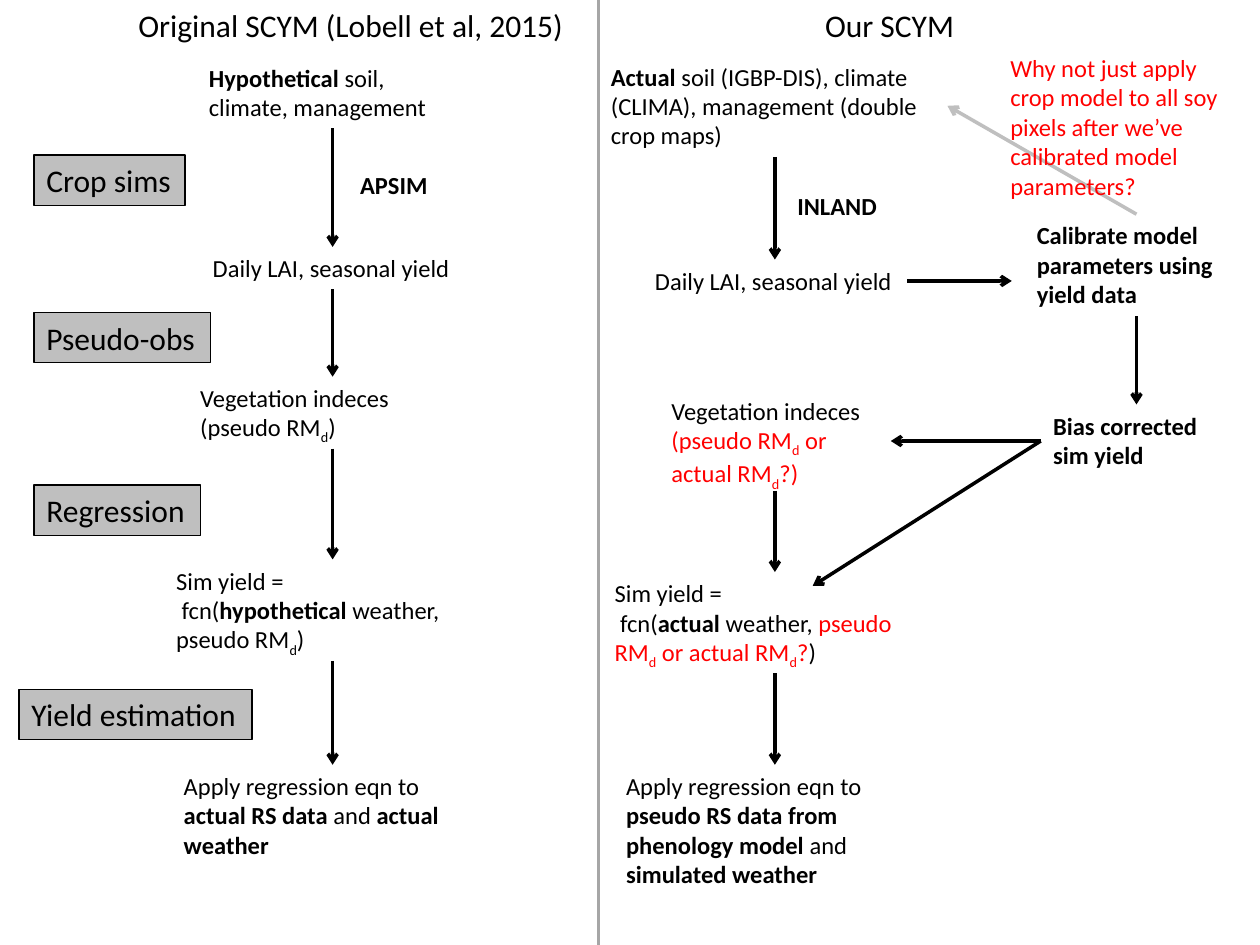
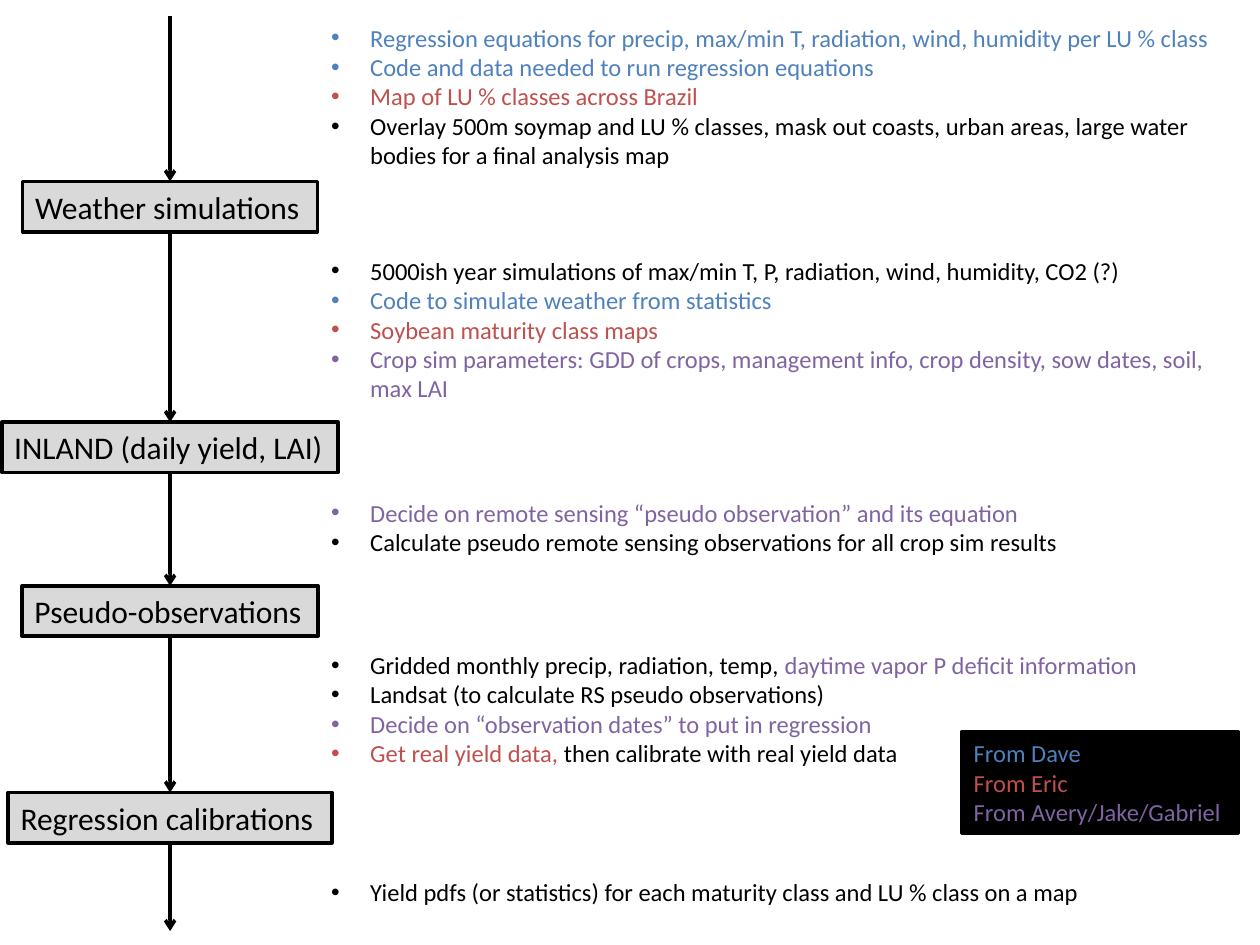
"""Build two slides comparing crop yield workflows and listing the inputs each step needs."""
from lxml import etree
from pptx import Presentation
from pptx.dml.color import RGBColor
from pptx.enum.shapes import MSO_CONNECTOR, MSO_SHAPE
from pptx.enum.text import MSO_ANCHOR, MSO_AUTO_SIZE, PP_ALIGN
from pptx.oxml.ns import qn
from pptx.util import Inches, Pt

RECTANGLE = MSO_SHAPE.RECTANGLE
STRAIGHT = MSO_CONNECTOR.STRAIGHT
LEFT = PP_ALIGN.LEFT
TOP = MSO_ANCHOR.TOP
GROW = MSO_AUTO_SIZE.SHAPE_TO_FIT_TEXT

COLORS = {
    "black": "000000", "red": "FF0000", "silver": "BFBFBF", "pale": "D9D9D9",
    "divider": "A6A6A6", "dave": "4F81BD", "eric": "C0504D", "team": "8064A2",
}
FONT_NAME = "Calibri"
BODY_SIZE, HEADING_SIZE = 14, 18
LABEL_HEIGHT = 0.4
LINE_WEIGHT = 2
BULLET_INDENT = 0.31

TITLES = [(1, 3.69, "Original SCYM (Lobell et al, 2015)"), (6.45, 1.24, "Our SCYM")]
STAGES = [
    (0.27, 1.23, 1.2, "Crop sims"),
    (0.27, 2.48, 1.4, "Pseudo-obs"),
    (0.27, 3.85, 1.32, "Regression"),
    (0.15, 5.47, 1.85, "Yield estimation"),
]
DAILY = [["Daily LAI, seasonal yield"]]
SUBSCRIPT = ("d", "sub")
RED_SUBSCRIPT = ("d", "red sub")

# Flow steps: left, top, width, number of lines, wraps, arrow to next step, paragraphs
FLOWS = [
    (2.64, [
        (1.56, 0.45, 2.16, 2, True, True,
         [[("Hypothetical", "bold"), " soil, climate, management"]]),
        (1.59, 1.96, 2.1, 1, False, True, DAILY),
        (1.49, 2.99, 2.29, 2, True, True,
         [["Vegetation indeces (pseudo RM", SUBSCRIPT, ")"]]),
        (1.3, 4.44, 2.68, 3, True, True,
         [["Sim yield ="],
          [" fcn(", ("hypothetical", "bold"), " weather, pseudo RM", SUBSCRIPT, ")"]]),
        (1.36, 6.07, 2.55, 3, True, False,
         [["Apply regression eqn to ", ("actual RS data ", "bold"), "and ",
           ("actual weather", "bold")]]),
    ]),
    (6.15, [
        (4.75, 0.44, 2.77, 3, True, True,
         [[("Actual", "bold"),
           " soil (IGBP-DIS), climate (CLIMA), management (double crop maps)"]]),
        (5.1, 2.06, 2.1, 1, False, False, DAILY),
        (5.23, 3.09, 1.85, 3, True, True,
         [["Vegetation indeces ", ("(pseudo RM", "red"), RED_SUBSCRIPT,
           (" or actual RM", "red"), RED_SUBSCRIPT, ("?)", "red")]]),
        (4.78, 4.54, 2.74, 3, True, True,
         [["Sim yield ="],
          [" fcn(", ("actual", "bold"), " weather, ", ("pseudo RM", "red"), RED_SUBSCRIPT,
           (" or actual RM", "red"), RED_SUBSCRIPT, ("?", "red"), ")"]]),
        (4.87, 6.07, 2.55, 4, True, False,
         [["Apply regression eqn to ", ("pseudo RS data from phenology model ", "bold"),
           "and ", ("simulated weather", "bold")]]),
    ]),
]
SIDE_NOTES = [
    (2.76, 1.3, 0.76, 1, False, [[("APSIM", "bold")]]),
    (6.23, 1.47, 0.84, 1, False, [[("INLAND", "bold")]]),
    (8.13, 1.7, 1.79, 3, True, [[("Calibrate model parameters using yield data", "bold")]]),
    (8.26, 3.21, 1.53, 2, True, [[("Bias corrected sim yield", "bold")]]),
    (7.92, 0.37, 1.97, 5, True,
     [[("Why not just apply crop model to all soy pixels after we’ve "
        "calibrated model parameters?", "red")]]),
]
SIDE_ARROWS = [
    ((7.2, 2.23), (8.03, 2.23), "black"),
    ((9.02, 2.51), (9.02, 3.21), "black"),
    ((8.26, 3.5), (7.07, 3.5), "black"),
    ((8.26, 3.5), (6.45, 4.65), "black"),
    ((9.02, 1.7), (7.52, 0.84), "silver"),
]
DIVIDER_X = 4.75

PIPELINE_X, PIPELINE_START, PIPELINE_END = 1.35, 0.13, 7.39
PIPELINE = [
    (1.44, 2.34, "Weather simulations"),
    (3.35, 2.67, "INLAND (daily yield, LAI)"),
    (4.65, 2.35, "Pseudo-observations"),
    (6.29, 2.57, "Regression calibrations"),
]
TASKS_LEFT = 2.53
TASKS = [
    (0.13, 7.31, 5, True, [
        [("Regression equations for precip, max/min T, radiation, wind, humidity "
          "per LU % class", "dave")],
        [("Code and data needed to run regression equations", "dave")],
        [("Map of LU % classes across Brazil", "eric")],
        ["Overlay 500m soymap and LU % classes, mask out coasts, urban areas, "
         "large water bodies for a final analysis map"],
    ]),
    (1.98, 7.23, 5, True, [
        ["5000ish year simulations of max/min T, P, radiation, wind, humidity, CO2 (?)"],
        [("Code to simulate weather from statistics", "dave")],
        [("Soybean maturity class maps", "eric")],
        [("Crop sim parameters: GDD of crops, management info, crop density, "
          "sow dates, soil, max LAI", "team")],
    ]),
    (3.9, 6.02, 2, False, [
        [("Decide on remote sensing “pseudo observation” and its equation", "team")],
        ["Calculate pseudo remote sensing observations for all crop sim results"],
    ]),
    (5.11, 6.61, 4, False, [
        ["Gridded monthly precip, radiation, temp, ",
         ("daytime vapor P deficit information", "team")],
        ["Landsat (to calculate RS pseudo observations)"],
        [("Decide on “observation dates” to put in regression", "team")],
        [("Get real yield data, ", "eric"), "then calibrate with real yield data"],
    ]),
    (6.91, 6.2, 1, False, [
        ["Yield pdfs (or statistics) for each maturity class and LU % class on a map"],
    ]),
]
LEGEND = [[("From Dave", "dave")], [("From Eric", "eric")],
          [("From Avery/Jake/Gabriel", "team")]]


def rgb(name):
    return RGBColor.from_string(COLORS[name])


def text_height(lines):
    return 0.1 + 0.235 * lines


def add_bullet(paragraph):
    properties = paragraph._p.get_or_add_pPr()
    properties.set("marL", str(Inches(BULLET_INDENT)))
    properties.set("indent", str(-Inches(BULLET_INDENT)))
    etree.SubElement(properties, qn("a:buFont")).set("typeface", "Arial")
    etree.SubElement(properties, qn("a:buChar")).set("char", "•")


def write_run(paragraph, content, size):
    text, style = (content, "") if isinstance(content, str) else content
    words = style.split()
    run = paragraph.add_run()
    run.text = text
    formats = {"name": FONT_NAME, "size": Pt(size), "bold": "bold" in words}
    for attribute, value in formats.items():
        setattr(run.font, attribute, value)
    color = next((word for word in words if word in COLORS), "black")
    run.font.color.rgb = rgb(color)
    if "sub" in words:
        run._r.get_or_add_rPr().set("baseline", "-25000")


def write_text(shape, paragraphs, size, wrap, bullets=False):
    frame = shape.text_frame
    formats = {"word_wrap": wrap, "auto_size": GROW, "vertical_anchor": TOP}
    for attribute, value in formats.items():
        setattr(frame, attribute, value)
    for index, runs in enumerate(paragraphs):
        paragraph = frame.add_paragraph() if index else frame.paragraphs[0]
        paragraph.alignment = LEFT
        if bullets:
            add_bullet(paragraph)
        for content in runs:
            write_run(paragraph, content, size)


def add_text(slide, left, top, width, height, paragraphs, size=BODY_SIZE, wrap=False,
             bullets=False):
    shape = slide.shapes.add_textbox(*map(Inches, (left, top, width, height)))
    write_text(shape, paragraphs, size, wrap, bullets)


def add_box(slide, left, top, width, height, paragraphs, fill, weight, size=HEADING_SIZE):
    shape = slide.shapes.add_shape(RECTANGLE, *map(Inches, (left, top, width, height)))
    shape.shadow.inherit = False
    shape.fill.solid()
    shape.fill.fore_color.rgb = rgb(fill)
    shape.line.color.rgb = rgb("black")
    shape.line.width = Pt(weight)
    write_text(shape, paragraphs, size, False)


def add_line(slide, start, end, color="black", arrow=True):
    connector = slide.shapes.add_connector(STRAIGHT, *map(Inches, (*start, *end)))
    connector.line.color.rgb = rgb(color)
    connector.line.width = Pt(LINE_WEIGHT)
    if arrow:
        line = connector.line._get_or_add_ln()
        etree.SubElement(line, qn("a:tailEnd")).set("type", "arrow")
    etree.SubElement(connector._element.spPr, qn("a:effectLst"))


def build_comparison(slide, slide_height):
    for left, width, title in TITLES:
        add_text(slide, left, 0, width, LABEL_HEIGHT, [[title]], HEADING_SIZE)
    for left, top, width, stage in STAGES:
        add_box(slide, left, top, width, LABEL_HEIGHT, [[stage]], "silver", 0.75)
    for arrow_x, steps in FLOWS:
        for index, (left, top, width, lines, wrap, leads_on, paragraphs) in enumerate(steps):
            height = text_height(lines)
            add_text(slide, left, top, width, height, paragraphs, wrap=wrap)
            if leads_on:
                next_top = steps[index + 1][1]
                add_line(slide, (arrow_x, top + height), (arrow_x, next_top))
    add_line(slide, (DIVIDER_X, 0), (DIVIDER_X, slide_height), "divider", arrow=False)
    for start, end, color in SIDE_ARROWS:
        add_line(slide, start, end, color)
    for left, top, width, lines, wrap, paragraphs in SIDE_NOTES:
        add_text(slide, left, top, width, text_height(lines), paragraphs, wrap=wrap)


def build_pipeline(slide):
    arrow_top = PIPELINE_START
    for top, width, step in PIPELINE:
        add_box(slide, PIPELINE_X - width / 2, top, width, LABEL_HEIGHT, [[step]], "pale",
                LINE_WEIGHT)
        add_line(slide, (PIPELINE_X, arrow_top), (PIPELINE_X, top))
        arrow_top = top + LABEL_HEIGHT
    add_line(slide, (PIPELINE_X, arrow_top), (PIPELINE_X, PIPELINE_END))
    add_box(slide, 7.63, 5.81, 2.2, text_height(len(LEGEND)), LEGEND, "black", LINE_WEIGHT,
            BODY_SIZE)
    for top, width, lines, wrap, paragraphs in TASKS:
        add_text(slide, TASKS_LEFT, top, width, text_height(lines), paragraphs, wrap=wrap,
                 bullets=True)


def main():
    presentation = Presentation()
    presentation.slide_width = Inches(10)
    presentation.slide_height = Inches(7.5)
    blank = presentation.slide_layouts[6]
    build_comparison(presentation.slides.add_slide(blank), presentation.slide_height.inches)
    build_pipeline(presentation.slides.add_slide(blank))
    presentation.save("out.pptx")


if __name__ == "__main__":
    main()
